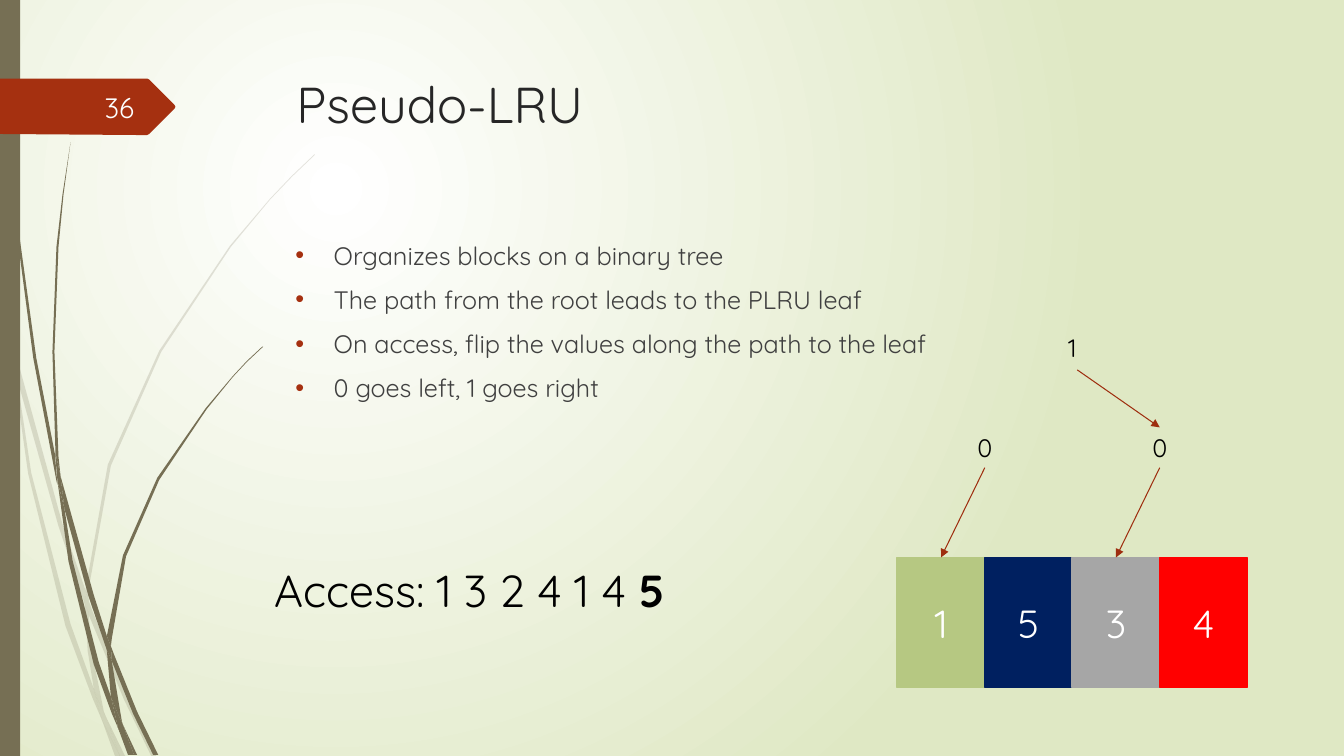
from lxml.etree import SubElement
from pptx import Presentation
from pptx.dml.color import RGBColor
from pptx.enum.shapes import MSO_CONNECTOR, MSO_SHAPE
from pptx.enum.text import MSO_ANCHOR, MSO_AUTO_SIZE, PP_ALIGN
from pptx.oxml.ns import qn
from pptx.util import Inches, Pt

FONT = "Quicksand"
HEX = {
    "white": "FFFFFF", "mist": "DFE8C4", "stem": "766F54", "rust": "A53010",
    "arrow": "9E2E0F", "title": "262626", "body": "404040", "black": "000000",
    "page": "FEFFFF", "green": "B6C882", "navy": "002060", "gray": "A6A6A6",
    "red": "FF0000",
}
BULLETS = [
    "Organizes blocks on a binary tree",
    "The path from the root leads to the PLRU leaf",
    "On access, flip the values along the path to the leaf",
    "0 goes left, 1 goes right",
]
BLOCKS = [("1", "green"), ("5", "navy"), ("3", "gray"), ("4", "red")]

# Blades of grass, as outline points in inches
PALE = [
    [(.11, 3.5), (.09, 3.22), (0, 2.82), (0, 2.99), (.1, 3.44)],
    [(.58, 5.22), (.84, 5.99), (.85, 5.86), (.62, 5.2), (.14, 3.45), (.17, 3.76)],
    [(.92, 6.07), (.88, 5.96), (.88, 6.1), (1.23, 6.94), (1.5, 7.5), (1.55, 7.5),
     (1.27, 6.92)],
    [(1.19, 7.5), (1.24, 7.5), (1.05, 7.11)],
    [(.93, 6.83), (.7, 6.19), (.31, 4.69), (.17, 3.76), (.11, 3.5), (.28, 4.7),
     (.65, 6.21), (.92, 6.93), (1.01, 7.14), (.99, 7.07)],
    [(.84, 5.99), (.87, 6.46), (.93, 6.83), (.96, 6.92), (1.05, 7.11), (1.03, 7.06),
     (.91, 6.46), (.88, 6.1), (.88, 6.08)],
    [(.88, 5.84), (1.1, 4.62), (1.6, 3.49), (2.29, 2.45), (2.68, 1.98), (2.9, 1.75),
     (3.12, 1.54), (3.12, 1.53), (2.89, 1.75), (2.68, 1.97), (2.28, 2.44),
     (1.58, 3.48), (1.07, 4.61), (.85, 5.84), (.85, 5.86), (.88, 5.96)],
    [(1.01, 7.14), (1.14, 7.5), (1.19, 7.5)],
    [(.88, 6.08), (.88, 6.1), (.88, 5.96), (.85, 5.86), (.84, 5.99)],
    [(.96, 6.92), (.93, 6.83), (.99, 7.07), (1.01, 7.14), (1.19, 7.5), (1.05, 7.11)],
]
DARK = [
    [(.07, 1.1), (.17, 2.33), (.33, 3.55), (.56, 4.77), (.57, 4.81), (.55, 4.57),
     (.55, 4.53), (.36, 3.55), (.19, 2.32), (.08, 1.09), (.05, .48), (.04, 0),
     (.03, 0), (.04, .48)],
    [(.88, 5.92), (1.06, 6.45), (1.06, 6.33), (1.06, 6.31), (.93, 5.9), (.6, 4.72),
     (.64, 5.05)],
    [(1.13, 6.49), (1.1, 6.41), (1.11, 6.56), (1.32, 7.08), (1.52, 7.49),
     (1.57, 7.49), (1.36, 7.06)],
    [(1.1, 6.91), (.98, 6.57), (.72, 5.56), (.64, 5.05), (.57, 4.77), (.68, 5.57),
     (.93, 6.59), (1.11, 7.08), (1.17, 7.22), (1.16, 7.17)],
    [(.6, 4.72), (.58, 4.53), (.54, 3.49), (.58, 2.45), (.63, 1.93), (.7, 1.41),
     (.62, 1.93), (.56, 2.45), (.52, 3.49), (.55, 4.49)],
    [(1.33, 7.49), (1.36, 7.49), (1.22, 7.19)],
    [(.57, 4.77), (.64, 5.05), (.6, 4.72), (.55, 4.49), (.55, 4.53)],
    [(1.11, 6.33), (1.25, 5.52), (1.58, 4.76), (2.05, 4.06), (2.31, 3.74),
     (2.45, 3.59), (2.61, 3.44), (2.6, 3.44), (2.45, 3.58), (2.31, 3.73),
     (2.04, 4.05), (1.56, 4.74), (1.22, 5.51), (1.06, 6.31), (1.1, 6.41)],
    [(1.17, 7.22), (1.27, 7.49), (1.31, 7.49)],
    [(1.06, 6.45), (1.1, 6.91), (1.16, 7.06), (1.22, 7.19), (1.21, 7.16),
     (1.11, 6.56), (1.09, 6.51)],
    [(1.06, 6.45), (1.09, 6.51), (1.11, 6.56), (1.1, 6.41), (1.06, 6.31)],
    [(1.16, 7.06), (1.1, 6.91), (1.16, 7.17), (1.17, 7.22), (1.3, 7.49),
     (1.33, 7.49), (1.22, 7.19)],
]
TAG = [(1.74, 1.06), (1.73, 1.08), (1.48, 1.33), (1.46, 1.34), (1.36, 1.34),
       (0, 1.33), (0, .78), (1.46, .78), (1.48, .79), (1.73, 1.04)]


def color(name):
    return RGBColor.from_string(HEX[name])


def style(para, size, tone, align=PP_ALIGN.LEFT):
    para.alignment = align
    font = para.font
    font.name, font.size, font.color.rgb = FONT, Pt(size), color(tone)


def paint(shape, tone):
    shape.shadow.inherit = False
    shape.fill.solid()
    shape.fill.fore_color.rgb = color(tone)
    shape.line.fill.background()


def place(shape, box):
    shape.left, shape.top, shape.width, shape.height = map(Inches, box)


def label(slide, box, text, size, tone="black", align=PP_ALIGN.CENTER):
    frame = slide.shapes.add_textbox(*map(Inches, box)).text_frame
    frame.word_wrap = True
    para = frame.paragraphs[0]
    para.text = text
    style(para, size, tone, align)
    return frame


def outline(slide, points, tone, alpha=100):
    dots = [(Inches(x), Inches(y)) for x, y in points]
    pen = slide.shapes.build_freeform(*dots[0])
    pen.add_line_segments(dots[1:], close=True)
    shape = pen.convert_to_shape()
    paint(shape, tone)
    if alpha < 100:
        fill = shape._element.spPr.find(qn("a:solidFill"))
        SubElement(fill[0], qn("a:alpha"), val=str(alpha * 1000))


def arrow(slide, start, end):
    line = slide.shapes.add_connector(MSO_CONNECTOR.STRAIGHT, *map(Inches, start + end))
    line.line.color.rgb = color("arrow")
    line.line.width = Pt(.75)
    SubElement(line.line._get_or_add_ln(), qn("a:tailEnd"), type="triangle")
    SubElement(line._element.spPr, qn("a:effectLst"))


def backdrop(slide):
    # Round gradient, white at the upper left
    fill = slide.background.fill
    fill.gradient()
    for stop, tone in zip(fill.gradient_stops, ("white", "mist")):
        stop.color.rgb = color(tone)
    grad = slide._element.find(".//" + qn("a:gradFill"))
    grad.remove(grad.find(qn("a:lin")))
    ring = SubElement(grad, qn("a:path"), path="circle")
    SubElement(ring, qn("a:fillToRect"), l="50000", t="50000", r="100000", b="100000")
    # Grass and side bar
    for blades, alpha in ((PALE, 20), (DARK, 100)):
        for blade in blades:
            outline(slide, blade, "stem", alpha)
    bar = slide.shapes.add_shape(MSO_SHAPE.RECTANGLE, 0, 0, Inches(.2), Inches(7.5))
    paint(bar, "stem")
    # Page tag
    outline(slide, TAG, "rust")
    page = label(slide, (.58, .86, .85, .4), "36", 20, "page", PP_ALIGN.RIGHT)
    page.vertical_anchor = MSO_ANCHOR.MIDDLE


def heading(slide, box):
    title = slide.shapes.title
    place(title, box)
    frame = title.text_frame
    frame.text = "Pseudo-LRU"
    frame.vertical_anchor = MSO_ANCHOR.TOP
    frame.auto_size = MSO_AUTO_SIZE.NONE
    style(frame.paragraphs[0], 36, "title")


def points(slide, box):
    body = slide.placeholders[1]
    place(body, box)
    frame = body.text_frame
    frame.text = "\n".join(BULLETS)
    frame.auto_size = MSO_AUTO_SIZE.NONE
    for i, para in enumerate(frame.paragraphs):
        props = para._p.get_or_add_pPr()
        props.set("marL", str(Inches(.38)))
        props.set("indent", str(-Inches(.38)))
        tint = SubElement(props, qn("a:buClr"))
        SubElement(tint, qn("a:srgbClr"), val=HEX["rust"])
        SubElement(props, qn("a:buFont"), typeface="Arial")
        SubElement(props, qn("a:buChar"), char="•")
        para.space_before = Pt(10 if i else 0)
        style(para, 18, "body")


def tree(slide, box):
    left, top, width, height = box
    step, tall = width / len(BLOCKS), 1.29
    base = top + height - tall
    # Cache blocks
    for i, (text, tone) in enumerate(BLOCKS):
        cell = slide.shapes.add_shape(
            MSO_SHAPE.RECTANGLE, *map(Inches, (left + i * step, base, step, tall)))
        paint(cell, tone)
        cell.line.color.rgb = color(tone)
        cell.line.width = Pt(1.25)
        cell.text_frame.vertical_anchor = MSO_ANCHOR.MIDDLE
        cell.text_frame.text = text
        style(cell.text_frame.paragraphs[0], 28, "white", PP_ALIGN.CENTER)
    # Node bits
    mid = top + .99
    for i, y, bit in ((1, mid, "0"), (2, top, "1"), (3, mid, "0")):
        label(slide, (left + i * step - .34, y, .68, .4), bit, 18)
    # Path arrows
    arrow(slide, (left + 2 * step + .05, top + .42), (left + 3 * step, mid))
    for i in (1, 3):
        x = left + i * step
        arrow(slide, (x, mid + .4), (x - step / 2, base))


def access(slide, box):
    frame = label(slide, box, "Access: 1 3 2 4 1 4 ", 32, align=PP_ALIGN.LEFT)
    last = frame.paragraphs[0].add_run()
    last.text = "5"
    last.font.bold = True


def main():
    deck = Presentation()
    deck.slide_width, deck.slide_height = Inches(13.33), Inches(7.5)
    slide = deck.slides.add_slide(deck.slide_layouts[1])
    backdrop(slide)
    heading(slide, (2.84, .68, 9.75, 1.4))
    points(slide, (2.83, 2.33, 9.75, 4.13))
    tree(slide, (8.9, 3.25, 3.47, 3.57))
    access(slide, (2.62, 5.53, 5.2, .64))
    deck.save("out.pptx")


if __name__ == "__main__":
    main()
